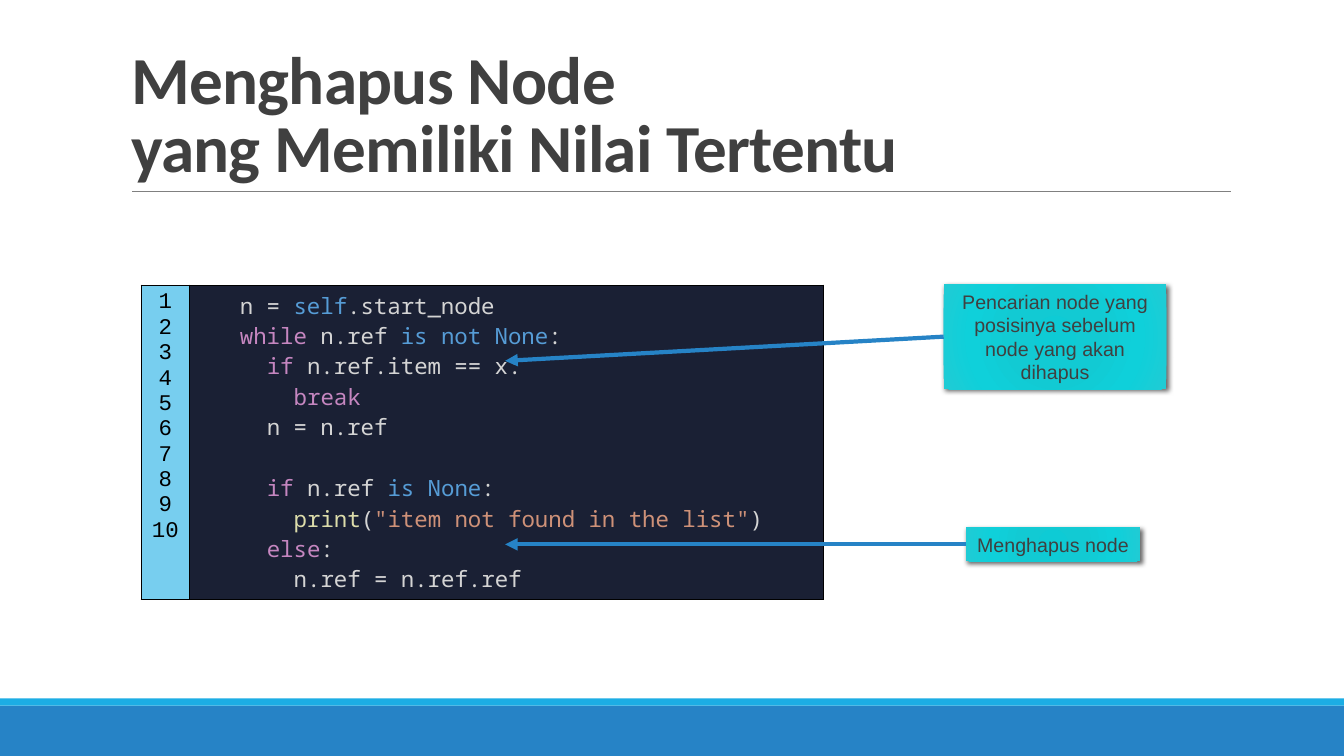
from pptx import Presentation
from pptx.dml.color import RGBColor
from pptx.enum.shapes import MSO_CONNECTOR as Connector, MSO_SHAPE as Shape
from pptx.enum.text import MSO_ANCHOR as Anchor, PP_ALIGN as Align
from pptx.oxml import parse_xml
from pptx.oxml.ns import nsdecls, qn
from pptx.util import Inches, Pt

BLUE, CYAN, DARK = "2683C6", "1CADE4", "404040"
PLAIN, KEYWORD, CONSTANT, FUNCTION, STRING = "D4D4D4", "C586C0", "569CD6", "DCDCAA", "CE9178"
CODE_SIZE = 16
CHAR_WIDTH = 0.6 * CODE_SIZE
CODE_LINE_HEIGHT = 1.36 * CODE_SIZE
CALLOUT_STOPS = [(0, "0ECBD5"), (34, "12CAD3"), (70, "0FD0DA"), (100, "20CBD4")]

CODE_LINES = [
    (3, [("n = ", PLAIN), ("self", CONSTANT), (".start_node", PLAIN)]),
    (3, [("while", KEYWORD), (" n.ref ", PLAIN), ("is not None", CONSTANT), (":", PLAIN)]),
    (5, [("if", KEYWORD), (" n.ref.item == x:", PLAIN)]),
    (7, [("break", KEYWORD)]),
    (5, [("n = n.ref", PLAIN)]),
    (5, [("if", KEYWORD), (" n.ref ", PLAIN), ("is None", CONSTANT), (":", PLAIN)]),
    (7, [("print", FUNCTION), ("(", PLAIN), ('"item not found in the list"', STRING), (")", PLAIN)]),
    (5, [("else", KEYWORD), (":", PLAIN)]),
    (7, [("n.ref = n.ref.ref", PLAIN)]),
]
LINE_AFTER_GAP = 5


def rgb(value):
    """Turn a hex string into a colour."""
    return RGBColor.from_string(value)


def xml(markup):
    """Parse DrawingML whose first tag lacks its namespace."""
    tag, rest = markup.split(">", 1)
    closing = "/" if tag.endswith("/") else ""
    return parse_xml(f"{tag.rstrip('/')} {nsdecls('a')}{closing}>{rest}")


class SlideBuilder:
    """Hold the style and the current slide."""

    def __init__(self, slide):
        """Remember the slide to draw on."""
        self.slide = slide

    def run(self, paragraph, text, size, font, color, bold=False):
        """Add one formatted run."""
        run = paragraph.add_run()
        run.text = text
        run.font.size, run.font.name, run.font.bold = Pt(size), font, bold
        run.font.color.rgb = rgb(color)
        return run

    def paragraphs(self, frame, count):
        """Return the frame's paragraphs, extended to the given count."""
        return [frame.paragraphs[0]] + [frame.add_paragraph() for _ in range(count - 1)]

    def title(self, lines, box):
        """Place and format the title placeholder."""
        title = self.slide.shapes.title
        title.left, title.top, title.width, title.height = map(Inches, box)
        frame = title.text_frame
        frame.vertical_anchor, frame.word_wrap = Anchor.BOTTOM, True
        paragraph = frame.paragraphs[0]
        paragraph.alignment, paragraph.line_spacing = Align.LEFT, 0.85
        for index, line in enumerate(lines):
            if index:
                paragraph.add_line_break()
            run = self.run(paragraph, line, 48, "Calibri", DARK, True)
            run.font._element.set("spc", "-50")

    def rectangle(self, box, color):
        """Add a plain rectangle."""
        shape = self.slide.shapes.add_shape(Shape.RECTANGLE, *map(Inches, box))
        shape.shadow.inherit = False
        shape.fill.solid()
        shape.fill.fore_color.rgb = rgb(color)
        shape.line.fill.background()
        return shape

    def callout(self, text, box):
        """Add a shadowed gradient box with centred text."""
        shape = self.rectangle(box, CALLOUT_STOPS[0][1])
        properties = shape._element.spPr
        stops = "".join(f'<a:gs pos="{position * 1000}"><a:srgbClr val="{color}"/></a:gs>'
                        for position, color in CALLOUT_STOPS)
        properties.replace(properties.find(qn("a:solidFill")), xml(
            f'<a:gradFill><a:gsLst>{stops}</a:gsLst><a:path path="circle">'
            '<a:fillToRect l="100000" t="100000" r="100000" b="100000"/></a:path></a:gradFill>'))
        properties.find(qn("a:effectLst")).append(xml(
            f'<a:outerShdw blurRad="{Pt(3.5)}" dist="{Pt(2)}" dir="2700000">'
            '<a:srgbClr val="000000"><a:alpha val="60000"/></a:srgbClr></a:outerShdw>'))
        frame = shape.text_frame
        frame.word_wrap, frame.vertical_anchor = True, Anchor.MIDDLE
        frame.paragraphs[0].alignment = Align.CENTER
        self.run(frame.paragraphs[0], text, 14, "Arial", DARK)
        return shape

    def line(self, start, end, color, width):
        """Add a straight line."""
        line = self.slide.shapes.add_connector(Connector.STRAIGHT, *map(Inches, start + end))
        line.line.color.rgb, line.line.width = rgb(color), Pt(width)
        line._element.spPr.append(xml("<a:effectLst/>"))
        return line

    def arrow(self, callout, start, end):
        """Point from the left side of a callout to a place in the code."""
        arrow = self.line(start, end, BLUE, 3)
        arrow.begin_connect(callout, 1)
        arrow.line._get_or_add_ln().append(xml('<a:tailEnd type="triangle"/>'))

    def cell(self, cell, color):
        """Fill a cell and give it black borders."""
        cell.fill.solid()
        cell.fill.fore_color.rgb = rgb(color)
        for index, side in enumerate("LRTB"):
            cell._tc.get_or_add_tcPr().insert(index, xml(
                f'<a:ln{side} w="{Pt(1)}"><a:solidFill><a:srgbClr val="000000"/>'
                f'</a:solidFill></a:ln{side}>'))
        return cell.text_frame

    def listing(self, box, widths):
        """Add the code table with its line numbers."""
        table = self.slide.shapes.add_table(1, 2, *map(Inches, box)).table
        table.first_row = table.horz_banding = False
        for column, width in zip(table.columns, widths):
            column.width = Inches(width)
        numbers = self.cell(table.cell(0, 0), "77CEEF")
        for number, paragraph in enumerate(self.paragraphs(numbers, 10), 1):
            paragraph.alignment = Align.CENTER
            self.run(paragraph, str(number), CODE_SIZE, "Courier New", "000000")
        code = self.cell(table.cell(0, 1), "1A2034")
        rows = self.paragraphs(code, len(CODE_LINES))
        for index, (paragraph, (indent, tokens)) in enumerate(zip(rows, CODE_LINES)):
            paragraph._p.get_or_add_pPr().set("marL", str(Pt(indent * CHAR_WIDTH)))
            if index == LINE_AFTER_GAP:
                paragraph.space_before = Pt(CODE_LINE_HEIGHT)
            for text, color in tokens:
                self.run(paragraph, text, CODE_SIZE, "Noto Sans Mono", color)


deck = Presentation()
deck.slide_width, deck.slide_height = Inches(13.33), Inches(7.5)
page = SlideBuilder(deck.slides.add_slide(deck.slide_layouts[5]))

page.rectangle((0, 7, 13.33, 0.5), BLUE)
page.rectangle((0, 6.93, 13.33, 0.07), CYAN)
page.line((1.31, 1.9), (12.21, 1.9), "808080", 0.5)
page.title(["Menghapus Node", "yang Memiliki Nilai Tertentu"], (1.2, 0.31, 11, 1.59))
page.listing((1.4, 2.83, 6.77, 3.11), (0.48, 6.29))

search = page.callout("Pencarian node yang posisinya sebelum node yang akan dihapus",
                      (9.36, 2.82, 2.21, 1.04))
page.arrow(search, (9.36, 3.34), (5.01, 3.58))
removal = page.callout("Menghapus node", (9.58, 5.23, 1.73, 0.34))
page.arrow(removal, (9.58, 5.4), (5.01, 5.4))

deck.save("out.pptx")
